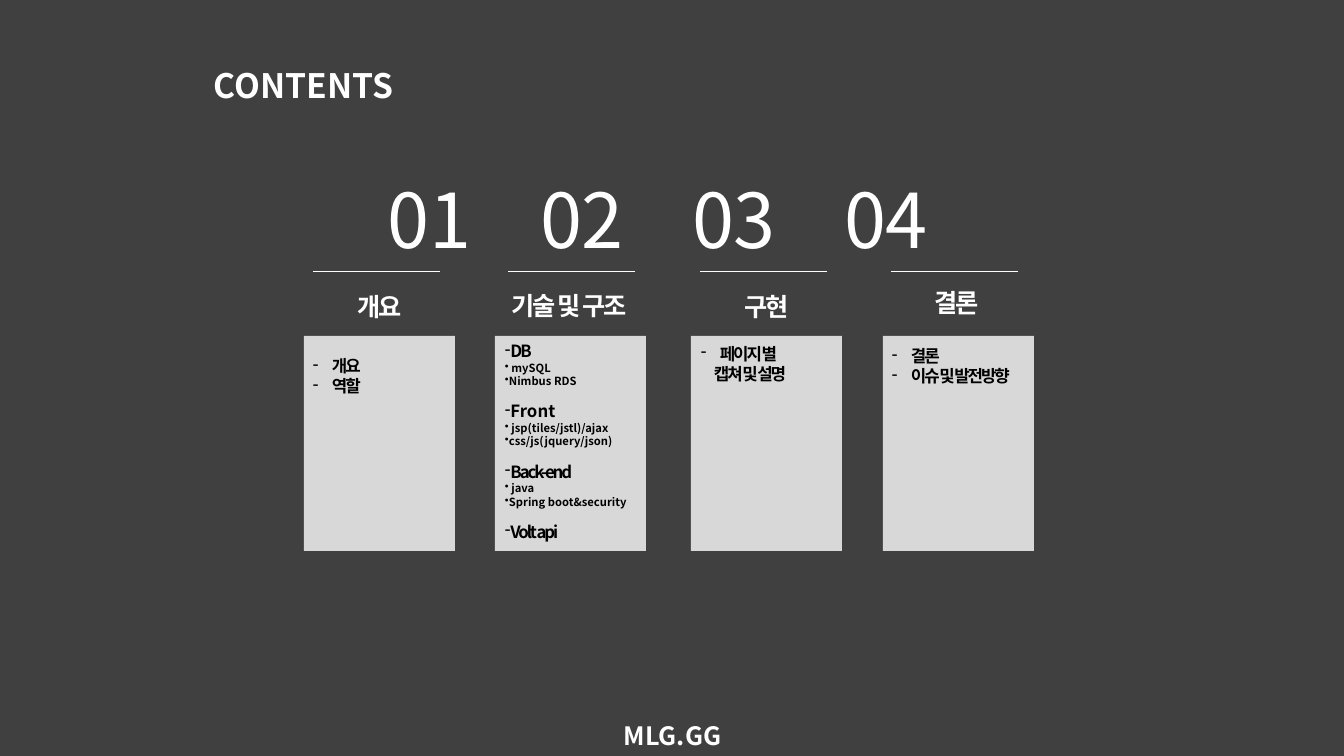
from dataclasses import dataclass

from lxml import etree
from pptx import Presentation
from pptx.dml.color import RGBColor
from pptx.enum.shapes import MSO_CONNECTOR, MSO_SHAPE
from pptx.enum.text import PP_ALIGN
from pptx.oxml.ns import qn
from pptx.slide import Slide
from pptx.util import Emu, Pt

RECTANGLE = MSO_SHAPE.RECTANGLE
STRAIGHT = MSO_CONNECTOR.STRAIGHT
LEFT, CENTER = PP_ALIGN.LEFT, PP_ALIGN.CENTER

SLIDE_WIDTH, SLIDE_HEIGHT = 1344, 756
EMU_PER_PX = 12192000 / SLIDE_WIDTH
FONT = "Noto Sans CJK KR"
COLORS = {"background": "404040", "light": "FFFFFF", "dark": "000000"}

TIGHT = -150  # hundredths of a point
CARD_TOP, CARD_WIDTH, CARD_HEIGHT = 336, 151, 215
CARD_OPACITY = 80000
RULE_TOP, RULE_WIDTH = 272, 127
NUMBER_LEFT, NUMBER_STEP = 370, 152


@dataclass
class Box:
    left: int
    top: int
    width: int
    height: int


@dataclass
class Line:
    text: str
    size: int = 12
    color: str = "dark"
    bold: bool = True
    spacing: int = 0
    align: PP_ALIGN = LEFT
    bullet: str = ""
    margin: int = 0
    hanging: int = 0
    space_before: float = 0


@dataclass
class Chapter:
    title: str
    title_box: Box
    rule_left: int
    card_left: int
    topics_box: Box
    topics: list[Line]


def topic(text: str) -> Line:
    return Line(text, spacing=TIGHT, bullet="-", margin=19, hanging=19)


def group(text: str, spacing: int = TIGHT, space_before: float = 9.4) -> Line:
    return Line(text, spacing=spacing, bullet="-", space_before=space_before)


def tool(text: str) -> Line:
    return Line(text, size=8, bullet="•")


CHAPTERS = [
    Chapter("개요", Box(304, 286, 151, 40), 313, 304, Box(303, 351, 151, 92),
            [topic("개요"), topic("역할")]),
    Chapter("기술 및 구조", Box(490, 285, 158, 40), 508, 495, Box(495, 336, 158, 234),
            [group("DB", space_before=0), tool(" mySQL"), tool("Nimbus RDS"),
             group("Front", spacing=0), tool(" jsp(tiles/jstl)/ajax"),
             tool("css/js(jquery/json)"),
             group("Back-end"), tool(" java"), tool("Spring boot&security"),
             group("Volt api")]),
    Chapter("구현", Box(690, 286, 154, 40), 700, 691, Box(691, 339, 151, 50),
            [topic("페이지 별"), Line("캡쳐 및 설명", spacing=TIGHT, margin=13)]),
    Chapter("결론", Box(881, 282, 151, 40), 891, 883, Box(882, 341, 151, 50),
            [topic("결론"), topic("이슈 및 발전방향")]),
]


def px(length: int) -> Emu:
    return Emu(round(length * EMU_PER_PX))


def rgb(color: str) -> RGBColor:
    return RGBColor.from_string(COLORS[color])


def add_text(slide: Slide, box: Box, lines: list[Line]) -> None:
    frame = slide.shapes.add_textbox(
        px(box.left), px(box.top), px(box.width), px(box.height)).text_frame
    frame.word_wrap = True
    for index, line in enumerate(lines):
        paragraph = frame.add_paragraph() if index else frame.paragraphs[0]
        paragraph.alignment = line.align
        if line.space_before:
            paragraph.space_before = Pt(line.space_before)
        properties = paragraph._p.get_or_add_pPr()
        properties.set("marL", str(px(line.margin)))
        properties.set("indent", str(px(-line.hanging)))
        if line.bullet:
            etree.SubElement(properties, qn("a:buChar"), char=line.bullet)
        run = paragraph.add_run()
        run.text = line.text
        run.font.size = Pt(line.size)
        run.font.bold = line.bold
        run.font.color.rgb = rgb(line.color)
        run.font.name = FONT
        run_properties = run._r.get_or_add_rPr()
        run_properties.set("spc", str(line.spacing))
        etree.SubElement(run_properties, qn("a:ea"), typeface=FONT)


def add_card(slide: Slide, left: int) -> None:
    card = slide.shapes.add_shape(
        RECTANGLE, px(left), px(CARD_TOP), px(CARD_WIDTH), px(CARD_HEIGHT))
    card.shadow.inherit = False
    card.line.fill.background()
    card.fill.solid()
    card.fill.fore_color.rgb = rgb("light")
    fill_color = card._element.spPr.find(qn("a:solidFill"))[0]
    etree.SubElement(fill_color, qn("a:alpha"), val=str(CARD_OPACITY))


def add_rule(slide: Slide, left: int) -> None:
    rule = slide.shapes.add_connector(
        STRAIGHT, px(left), px(RULE_TOP), px(left + RULE_WIDTH), px(RULE_TOP))
    rule.line.color.rgb = rgb("light")
    rule.line.width = Pt(0.75)
    etree.SubElement(rule._element.spPr, qn("a:effectLst"))


def add_chapter(slide: Slide, index: int, chapter: Chapter) -> None:
    number_box = Box(NUMBER_LEFT + index * NUMBER_STEP, 168, 120, 102)
    add_text(slide, number_box, [
        Line(f"{index + 1:02}", 54, "light", bold=False, align=CENTER)])
    add_rule(slide, chapter.rule_left)
    add_text(slide, chapter.title_box, [
        Line(chapter.title, 18, "light", spacing=TIGHT, align=CENTER)])
    add_card(slide, chapter.card_left)
    add_text(slide, chapter.topics_box, chapter.topics)


def main() -> None:
    deck = Presentation()
    deck.slide_width, deck.slide_height = px(SLIDE_WIDTH), px(SLIDE_HEIGHT)
    slide = deck.slides.add_slide(deck.slide_layouts[6])
    slide.background.fill.solid()
    slide.background.fill.fore_color.rgb = rgb("background")

    add_text(slide, Box(204, 60, 461, 50), [Line("CONTENTS", 24, "light")])
    for index, chapter in enumerate(CHAPTERS):
        add_chapter(slide, index, chapter)
    add_text(slide, Box(474, 715, 397, 40), [
        Line("MLG.GG", 18, "light", align=CENTER)])
    deck.save("out.pptx")


if __name__ == "__main__":
    main()
